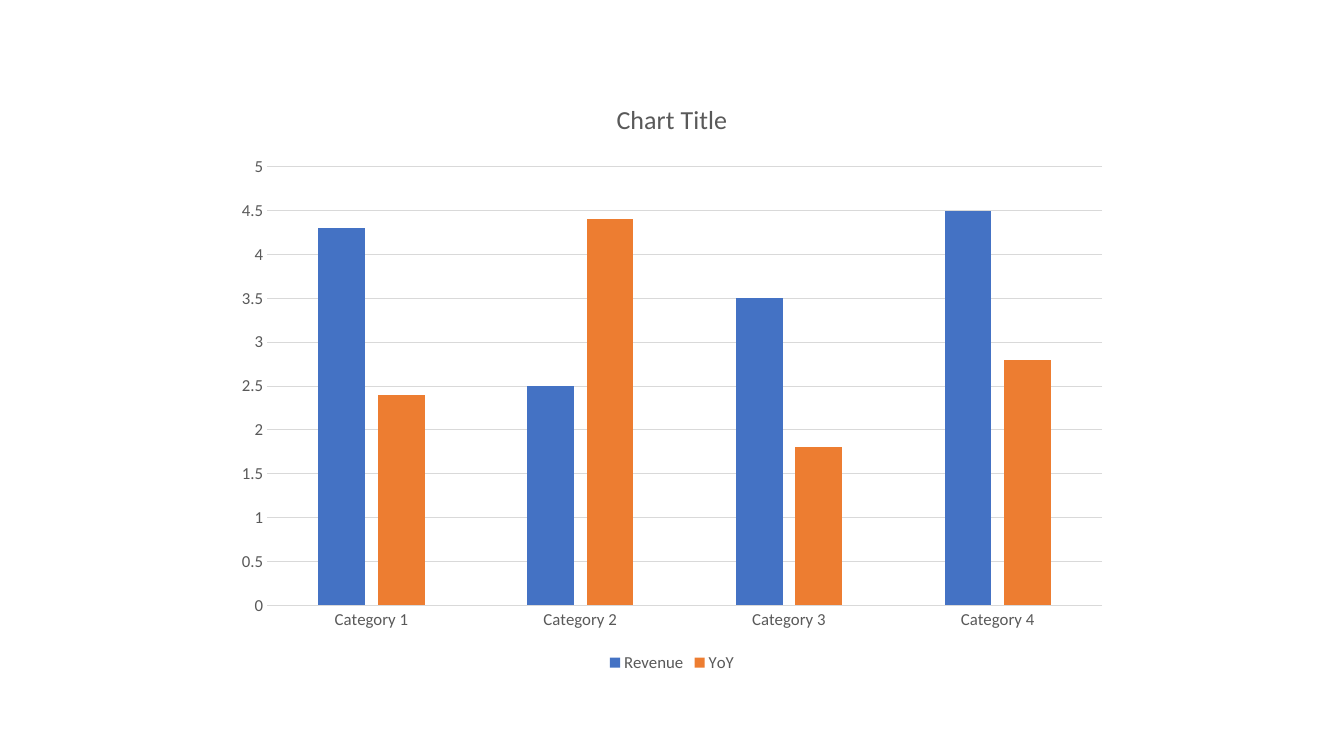
from pptx import Presentation
from pptx.chart.data import CategoryChartData
from pptx.dml.color import RGBColor
from pptx.enum.chart import XL_CHART_TYPE, XL_LEGEND_POSITION, XL_TICK_MARK
from pptx.util import Pt

COLUMN = XL_CHART_TYPE.COLUMN_CLUSTERED
BOTTOM = XL_LEGEND_POSITION.BOTTOM
NO_TICK = XL_TICK_MARK.NONE
GRAY = "595959"
PALE = "D9D9D9"


def style(font, size):
    font.name = "Calibri"
    font.size = Pt(size)
    font.bold = False
    font.color.rgb = RGBColor.from_string(GRAY)


def rule(line):
    line.width = Pt(0.75)
    line.color.rgb = RGBColor.from_string(PALE)


deck = Presentation()
deck.slide_width = Pt(960)
deck.slide_height = Pt(540)
slide = deck.slides.add_slide(deck.slide_layouts[6])

data = CategoryChartData()
data.categories = [f"Category {n}" for n in range(1, 5)]
data.add_series("Revenue", (4.3, 2.5, 3.5, 4.5))
data.add_series("YoY", (2.4, 4.4, 1.8, 2.8))
frame = slide.shapes.add_chart(COLUMN, Pt(160), Pt(56.67), Pt(640), Pt(426.67), data)
chart = frame.chart
style(chart.font, 12)

chart.has_title = True
title = chart.chart_title
title.include_in_layout = False
title.text_frame.text = "Chart Title"
style(title.text_frame.paragraphs[0].runs[0].font, 18.6)

chart.has_legend = True
chart.legend.position = BOTTOM
chart.legend.include_in_layout = False
style(chart.legend.font, 12)

for axis in (chart.category_axis, chart.value_axis):
    axis.major_tick_mark = NO_TICK
    axis.minor_tick_mark = NO_TICK
    style(axis.tick_labels.font, 12)
rule(chart.category_axis.format.line)

values = chart.value_axis
values.minimum_scale = 0
values.maximum_scale = 5
values.major_unit = 0.5
values.format.line.fill.background()
values.has_major_gridlines = True
rule(values.major_gridlines.format.line)

plot = chart.plots[0]
plot.gap_width = 219
plot.overlap = -27
plot.vary_by_categories = False
for series, color in zip(plot.series, ("4472C4", "ED7D31")):
    series.invert_if_negative = False
    series.format.fill.solid()
    series.format.fill.fore_color.rgb = RGBColor.from_string(color)

deck.save("out.pptx")
